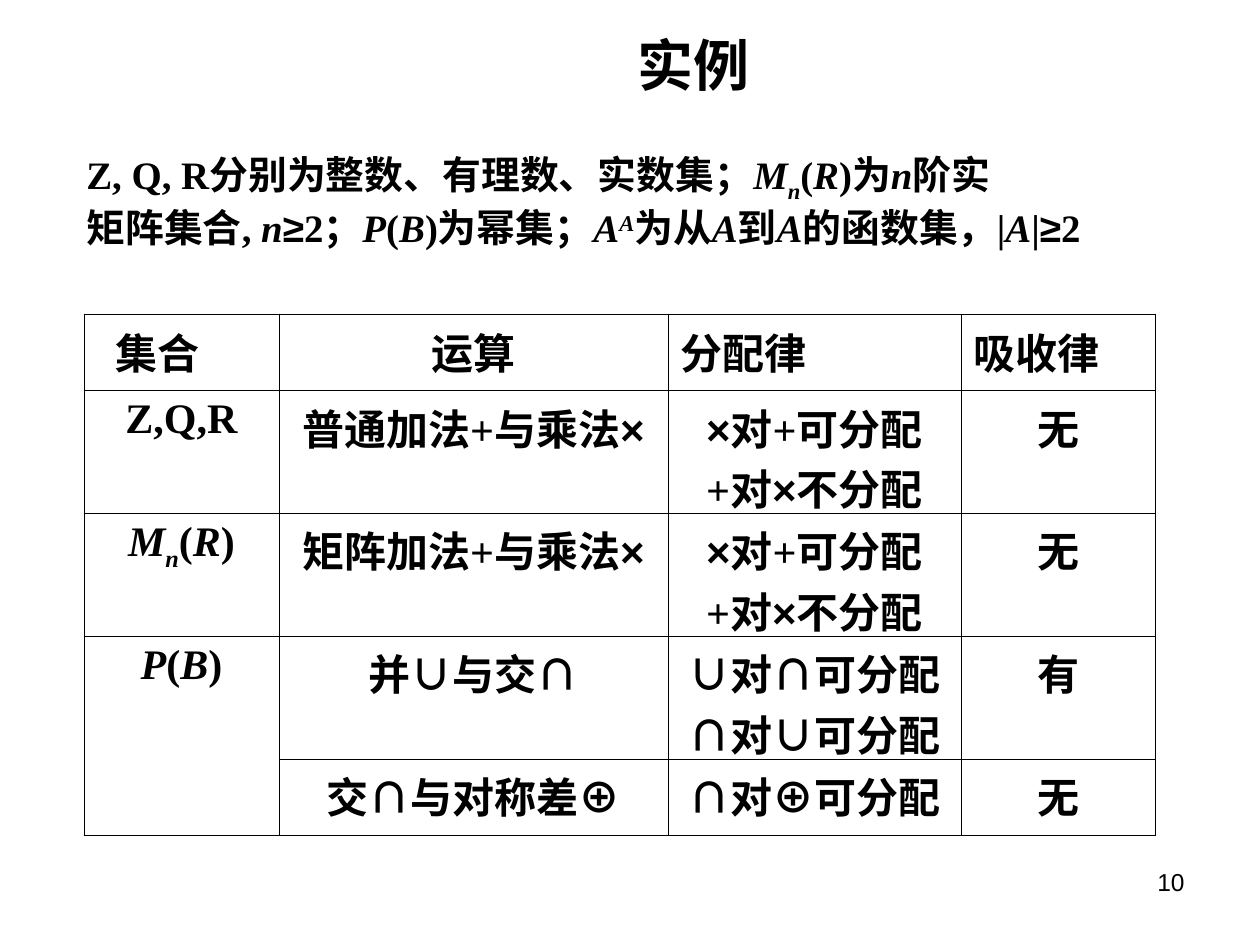
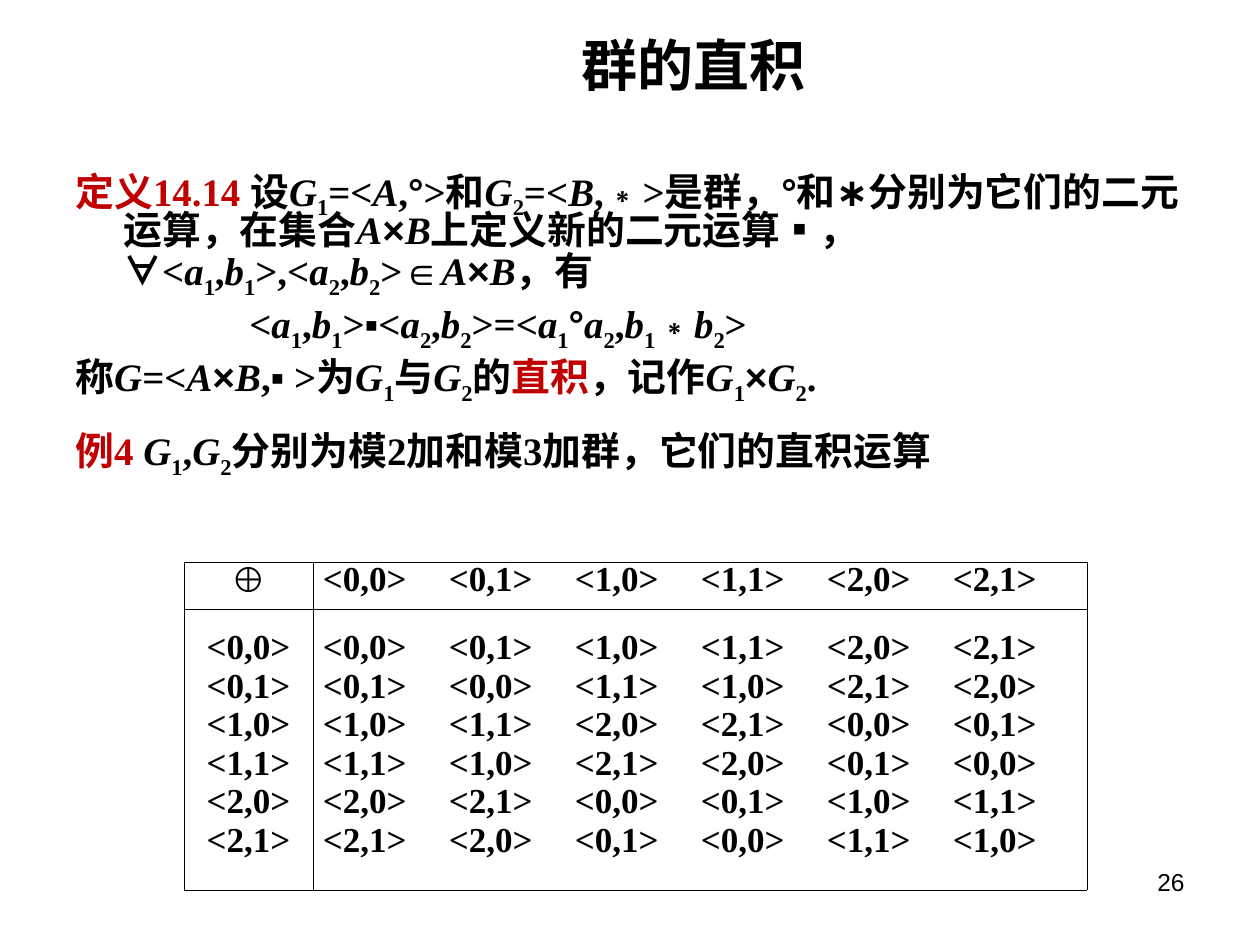
from dataclasses import dataclass
from itertools import product

from lxml import etree
from pptx import Presentation
from pptx.dml.color import RGBColor
from pptx.enum.text import MSO_ANCHOR, PP_ALIGN
from pptx.oxml.ns import qn
from pptx.util import Pt

EMU_PER_PIXEL = 914400 / 126
LEFT, CENTER, RIGHT = PP_ALIGN.LEFT, PP_ALIGN.CENTER, PP_ALIGN.RIGHT
TOP, MIDDLE = MSO_ANCHOR.TOP, MSO_ANCHOR.MIDDLE
BLANK_LAYOUT = 6
SYMBOLS = "×∪∩⊕≥°∗∀∈"
BASELINES = {"_": "-25000", "^": "30000"}


@dataclass(frozen=True)
class Theme:
    ink: RGBColor = RGBColor(0, 0, 0)
    accent: RGBColor = RGBColor(0xC0, 0, 0)
    heading_font: str = "Arial"
    text_font: str = "Times New Roman"
    title_size: float = 32
    table_size: float = 24
    body_size: float = 22.2
    grid_size: float = 20
    number_size: float = 14
    border_width: float = 0.45


def emu(pixels):
    return round(pixels * EMU_PER_PIXEL)


def split_markup(text):
    pieces = []
    italic = accent = False
    baseline = None
    for character in text:
        if character == "*":
            italic = not italic
        elif character == "~":
            accent = not accent
        elif character in BASELINES:
            baseline = BASELINES[character]
        else:
            style = (italic, accent, baseline, character in SYMBOLS)
            if pieces and pieces[-1][1] == style:
                pieces[-1][0] += character
            else:
                pieces.append([character, style])
            baseline = None
    return pieces


def write_text(frame, lines, theme, size, font=None, bold=True, align=LEFT,
               spacing=None, before=0, margin=0, indent=0, tabs=()):
    for index, line in enumerate(lines):
        paragraph = frame.paragraphs[0] if index == 0 else frame.add_paragraph()
        paragraph.alignment = align
        paragraph.line_spacing = spacing
        paragraph.space_before = Pt(before)
        properties = paragraph._p.get_or_add_pPr()
        properties.set("marL", str(emu(margin)))
        properties.set("indent", str(emu(indent)))
        if tabs:
            tab_list = etree.SubElement(properties, qn("a:tabLst"))
            for position in tabs:
                etree.SubElement(tab_list, qn("a:tab"),
                                 pos=str(emu(position)), algn="l")
        for content, (italic, accent, baseline, symbol) in split_markup(line):
            run = paragraph.add_run()
            run.text = content
            run.font.size = Pt(size)
            run.font.bold = bold
            run.font.italic = italic
            run.font.name = theme.heading_font if symbol else font or theme.text_font
            run.font.color.rgb = theme.accent if accent else theme.ink
            if baseline:
                run._r.get_or_add_rPr().set("baseline", baseline)


class Deck:
    def __init__(self, theme):
        self.theme = theme
        self.presentation = Presentation()
        self.presentation.slide_width = emu(1260)
        self.presentation.slide_height = emu(945)
        self.slide = None

    def new_slide(self, title, number):
        layout = self.presentation.slide_layouts[BLANK_LAYOUT]
        self.slide = self.presentation.slides.add_slide(layout)
        theme = self.theme
        write_text(self.text_box(272, 35, 843, 58, MIDDLE), [title], theme,
                   theme.title_size, font=theme.heading_font, align=CENTER)
        write_text(self.text_box(903, 861, 294, 66), [number], theme,
                   theme.number_size, font=theme.heading_font, bold=False, align=RIGHT)

    def text_box(self, left, top, width, height, anchor=TOP):
        shape = self.slide.shapes.add_textbox(emu(left), emu(top), emu(width), emu(height))
        frame = shape.text_frame
        frame.word_wrap = True
        frame.vertical_anchor = anchor
        return frame

    def body(self, left, top, width, height, paragraphs, spacing):
        frame = self.text_box(left, top, width, height)
        for index, (line, layout) in enumerate(paragraphs):
            settings = {"before": 6, "margin": 48, "indent": -48, **layout}
            target = BodyParagraph(frame, index)
            write_text(target, [line], self.theme, self.theme.body_size,
                       spacing=spacing, **settings)

    def table(self, left, top, widths, heights):
        shape = self.slide.shapes.add_table(
            len(heights), len(widths), emu(left), emu(top),
            emu(sum(widths)), emu(sum(heights)))
        table = shape.table
        table.first_row = table.horz_banding = False
        for column, width in zip(table.columns, widths):
            column.width = emu(width)
        for row, height in zip(table.rows, heights):
            row.height = emu(height)
        for cell in table.iter_cells():
            self.border(cell)
            cell.fill.background()
        return table

    def border(self, cell):
        properties = cell._tc.get_or_add_tcPr()
        for side in ("lnL", "lnR", "lnT", "lnB"):
            line = etree.SubElement(properties, qn(f"a:{side}"),
                                    w=str(Pt(self.theme.border_width)))
            fill = etree.SubElement(line, qn("a:solidFill"))
            etree.SubElement(fill, qn("a:srgbClr"), val=str(self.theme.ink))

    def cell(self, cell, lines, size, anchor=TOP, inset=None, **layout):
        cell.vertical_anchor = anchor
        if inset:
            cell.margin_left = cell.margin_right = emu(inset)
        write_text(cell.text_frame, lines, self.theme, size, **layout)


class BodyParagraph:
    def __init__(self, frame, index):
        self.paragraphs = [frame.paragraphs[0] if index == 0 else frame.add_paragraph()]


def build_examples(deck):
    deck.new_slide("实例", "10")
    deck.body(74, 145, 1160, 129, [
        ("Z, Q, R分别为整数、有理数、实数集；*M_n*(*R*)为*n*阶实", {}),
        ("矩阵集合, *n*≥2；*P*(*B*)为幂集；*A^A*为从*A*到*A*的函数集，|*A*|≥2", {}),
    ], 0.9)
    laws = ["×对+可分配", "+对×不分配"]
    rows = [
        [["集合"], ["运算"], ["分配律"], ["吸收律"]],
        [["Z,Q,R"], ["普通加法+与乘法×"], laws, ["无"]],
        [["*M_n*(*R*)"], ["矩阵加法+与乘法×"], laws, ["无"]],
        [["*P*(*B*)"], ["并∪与交∩"], ["∪对∩可分配", "∩对∪可分配"], ["有"]],
        [[], ["交∩与对称差⊕"], ["∩对⊕可分配"], ["无"]],
    ]
    table = deck.table(84, 314, [195, 389, 293, 195], [76, 123, 123, 123, 76])
    table.cell(3, 0).merge(table.cell(4, 0))
    for row, cells in enumerate(rows):
        for column, lines in enumerate(cells):
            heading = row == 0 and column != 1
            deck.cell(table.cell(row, column), lines, deck.theme.table_size,
                      align=LEFT if heading else CENTER,
                      margin=19 if row == column == 0 else 0)


def build_direct_product(deck):
    deck.new_slide("群的直积", "26")
    deck.body(63, 166, 1134, 365, [
        ("~定义14.14 ~设*G*_1=<*A*,°>和*G*_2=<*B*,∗>是群，°和∗分别为它们的"
         "二元运算，在集合*A*×*B*上定义新的二元运算▪，"
         "∀<*a*_1,*b*_1>,<*a*_2,*b*_2>∈*A*×*B*，有", {}),
        ("<*a*_1,*b*_1>▪<*a*_2,*b*_2>=<*a*_1°*a*_2,*b*_1∗*b*_2>",
         {"margin": 174, "indent": 0}),
        ("称*G*=<*A*×*B*,▪ >为*G*_1与*G*_2的~直积~，记作*G*_1×*G*_2.", {}),
        ("~例4 ~*G*_1,*G*_2分别为模2加和模3加群，它们的直积运算", {"before": 18}),
    ], 0.8)
    elements = list(product(range(3), range(2)))
    names = [f"<{a},{b}>" for a, b in elements]
    sums = ["\t".join(f"<{(a + c) % 3},{(b + d) % 2}>" for c, d in elements)
            for a, b in elements]
    contents = [[["⊕"], ["\t".join(names)]], [names, sums]]
    stops = [119 * step for step in range(1, len(elements))]
    table = deck.table(184, 562, [129, 774], [47, 281])
    for row, cells in enumerate(contents):
        for column, lines in enumerate(cells):
            deck.cell(table.cell(row, column), lines, deck.theme.grid_size,
                      anchor=MIDDLE, inset=10, spacing=Pt(16), before=6,
                      align=LEFT if column else CENTER, tabs=stops if column else ())


deck = Deck(Theme())
build_examples(deck)
build_direct_product(deck)
deck.presentation.save("out.pptx")
